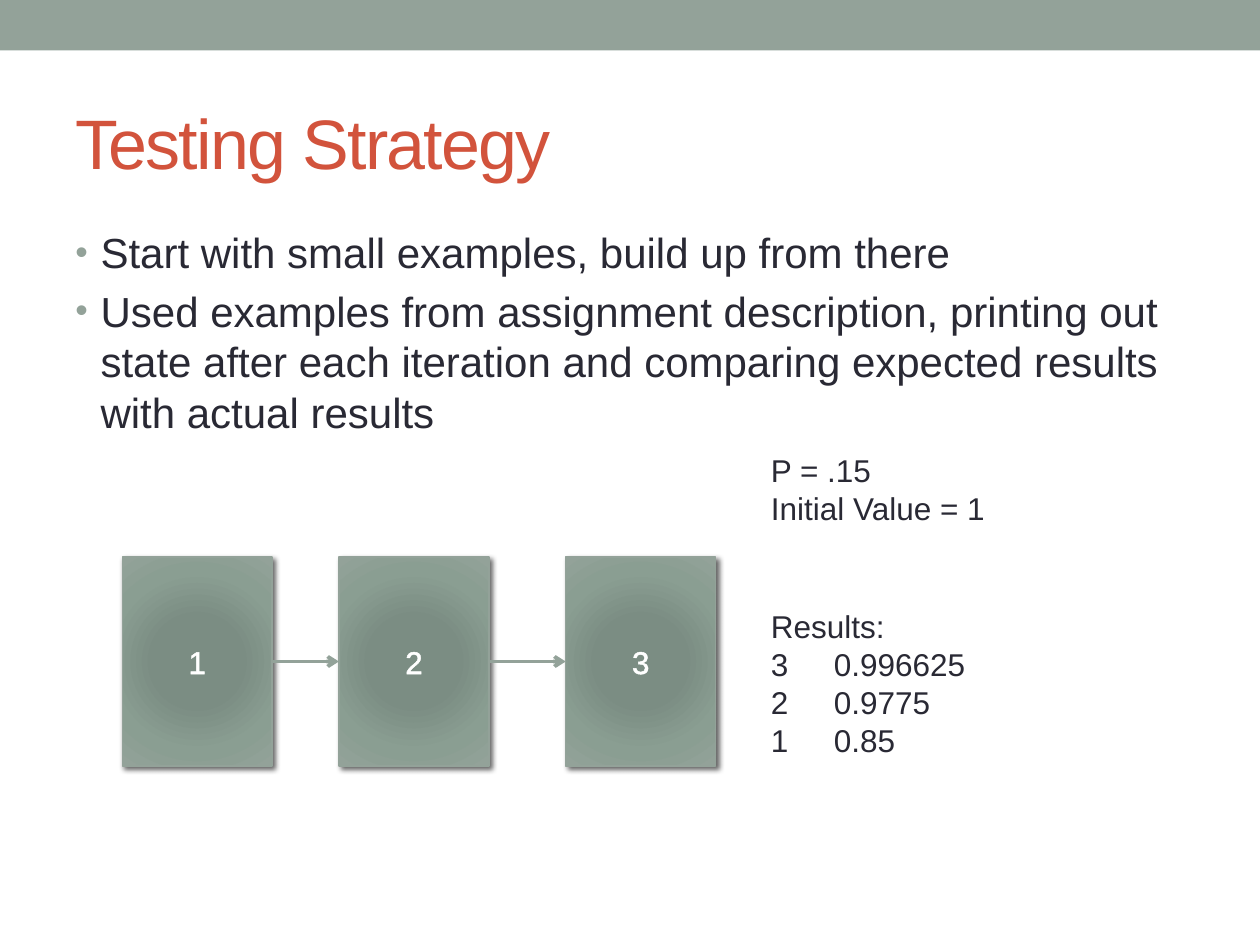
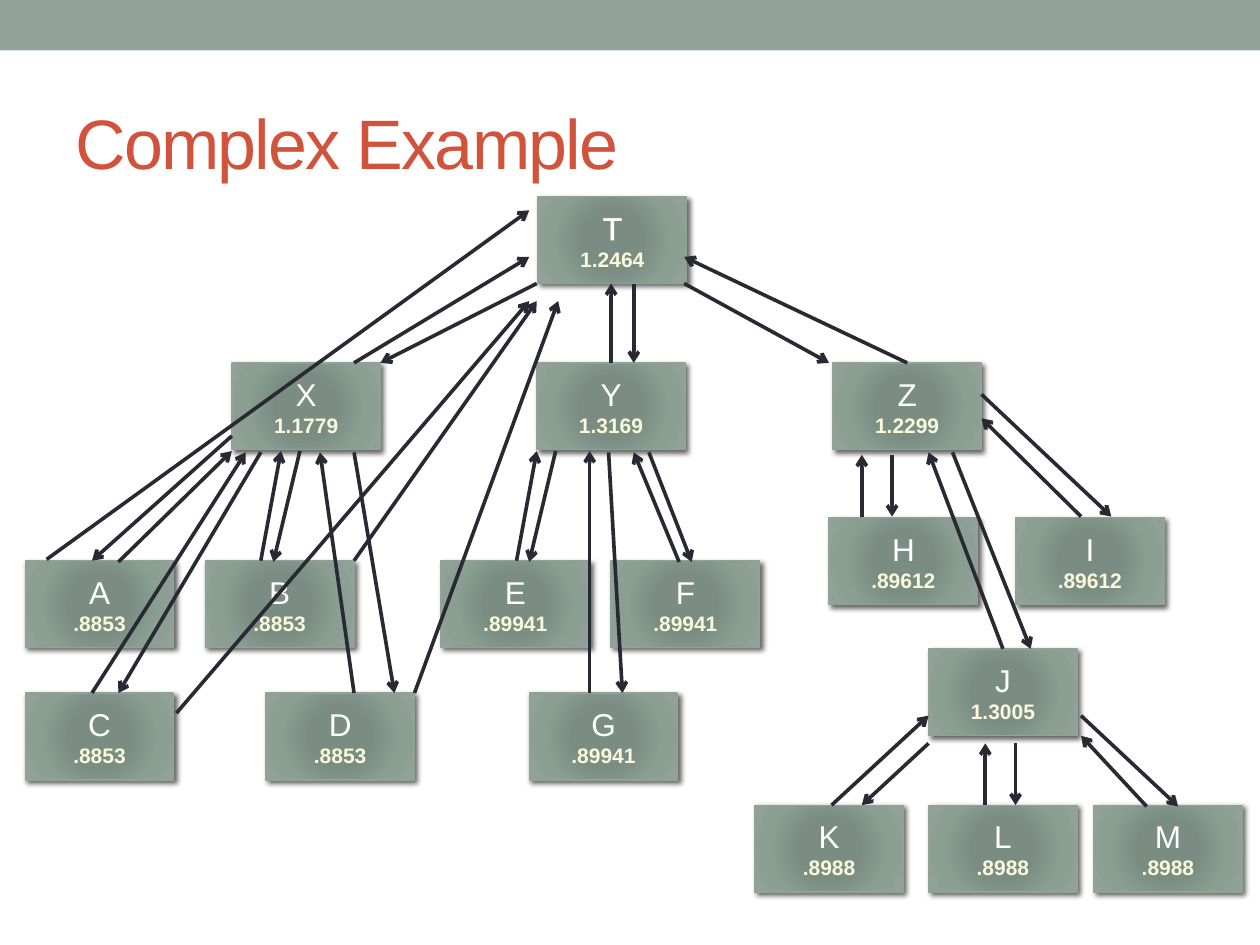
from pptx import Presentation
from pptx.dml.color import RGBColor
from pptx.enum.shapes import MSO_CONNECTOR, MSO_SHAPE
from pptx.enum.text import MSO_ANCHOR as Anchor, PP_ALIGN as Align
from pptx.oxml import parse_xml
from pptx.oxml.ns import nsdecls
from pptx.util import Inches, Pt

SAGE = RGBColor(0x93, 0xA2, 0x99)
RUST = RGBColor(0xD2, 0x53, 0x3C)
INK = RGBColor(0x29, 0x29, 0x34)
WHITE = RGBColor(0xFF, 0xFF, 0xFF)
CREAM = RGBColor(0xFA, 0xF9, 0xDC)
RED = RGBColor(0xFB, 0x36, 0x13)
GRADIENT_STOPS = [
    (0, RGBColor(0x7B, 0x8E, 0x82)),
    (34, RGBColor(0x7B, 0x8D, 0x83)),
    (70, RGBColor(0x8A, 0x9E, 0x92)),
    (100, SAGE),
]
FONT = "Arial"
NS = nsdecls("a")


def add_run(paragraph, text, size, color, bold=False, outline=None):
    run = paragraph.add_run()
    run.text = text
    run.font.name = FONT
    run.font.size = Pt(size)
    run.font.bold = bold
    run.font.color.rgb = color
    if outline:
        outline_color, width = outline
        run.font._element.insert(0, parse_xml(
            f'<a:ln {NS} w="{int(Pt(width))}"><a:solidFill>'
            f'<a:srgbClr val="{outline_color}"/></a:solidFill></a:ln>'))
    return run


def add_node(slide, left, top, width, height, label, value=None, outline=None):
    shape = slide.shapes.add_shape(
        MSO_SHAPE.RECTANGLE, Inches(left), Inches(top), Inches(width), Inches(height))
    properties = shape._element.spPr
    stops = "".join(f'<a:gs pos="{position * 1000}"><a:srgbClr val="{color}"/></a:gs>'
                    for position, color in GRADIENT_STOPS)
    properties.insert(2, parse_xml(
        f'<a:gradFill {NS} rotWithShape="1"><a:gsLst>{stops}</a:gsLst><a:path path="circle">'
        '<a:fillToRect l="100000" t="100000" r="100000" b="100000"/></a:path></a:gradFill>'))
    shape.line.color.rgb = SAGE
    shape.line.width = Pt(0.75)
    shape.shadow.inherit = False
    properties[-1].append(parse_xml(
        f'<a:outerShdw {NS} blurRad="{Pt(3)}" dist="{Pt(2)}" dir="2700000" rotWithShape="0">'
        '<a:srgbClr val="000000"><a:alpha val="60000"/></a:srgbClr></a:outerShdw>'))
    frame = shape.text_frame
    frame.vertical_anchor = Anchor.MIDDLE
    paragraph = frame.paragraphs[0]
    paragraph.alignment = Align.CENTER
    add_run(paragraph, label, 18, WHITE, outline=outline)
    if value:
        paragraph = frame.add_paragraph()
        paragraph.alignment = Align.CENTER
        add_run(paragraph, value, 12, CREAM, bold=True, outline=(RED, 1))


presentation = Presentation()
presentation.slide_width = Inches(10)
presentation.slide_height = Inches(7.5)

# Band and title on both slides
for title in ("Testing Strategy", "Complex Example"):
    slide = presentation.slides.add_slide(presentation.slide_layouts[6])
    band = slide.shapes.add_shape(MSO_SHAPE.RECTANGLE, 0, 0, Inches(10), Inches(0.4))
    band.shadow.inherit = False
    band.fill.solid()
    band.fill.fore_color.rgb = SAGE
    band.line.fill.background()
    title_box = slide.shapes.add_textbox(Inches(0.5), Inches(0.58), Inches(9), Inches(1.08))
    frame = title_box.text_frame
    frame.word_wrap = True
    frame.vertical_anchor = Anchor.MIDDLE
    run = add_run(frame.paragraphs[0], title, 40, RUST)
    run.font._element.set("spc", "-100")
strategy_slide, tree_slide = presentation.slides

# Strategy bullets
body = strategy_slide.shapes.add_textbox(Inches(0.5), Inches(1.75), Inches(9), Inches(5.33))
body.text_frame.word_wrap = True
bullets = [
    "Start with small examples, build up from there",
    "Used examples from assignment description, printing out state after each "
    "iteration and comparing expected results with actual results",
]
for index, text in enumerate(bullets):
    paragraph = body.text_frame.add_paragraph() if index else body.text_frame.paragraphs[0]
    paragraph.space_before = Pt(4.8)
    properties = paragraph._element.get_or_add_pPr()
    properties.set("marL", str(Inches(0.2)))
    properties.set("indent", str(-Inches(0.2)))
    for bullet_xml in (f'<a:buClr {NS}><a:srgbClr val="{SAGE}"/></a:buClr>',
                       f'<a:buSzPct {NS} val="85000"/>',
                       f'<a:buFont {NS} typeface="{FONT}"/>',
                       f'<a:buChar {NS} char="•"/>'):
        properties.append(parse_xml(bullet_xml))
    add_run(paragraph, text, 24, INK)

# Chain of three pages
for label, left in (("1", 0.97), ("2", 2.69), ("3", 4.49)):
    add_node(strategy_slide, left, 4.42, 1.19, 1.66, label, outline=(WHITE, 1.45))

# Parameters and results
notes = [
    (3.53, 1.92, 0.71, ["P = .15", "Initial Value = 1"]),
    (4.77, 2.26, 1.31, ["Results:", "3\t0.996625", "2\t0.9775", "1\t0.85"]),
]
for top, width, height, lines in notes:
    box = strategy_slide.shapes.add_textbox(
        Inches(6.02), Inches(top), Inches(width), Inches(height))
    box.text_frame.word_wrap = False
    for index, text in enumerate(lines):
        paragraph = box.text_frame.add_paragraph() if index else box.text_frame.paragraphs[0]
        add_run(paragraph, text, 18, INK)

# Tree nodes, row by row: top, then left, label and value
tree_rows = [
    (1.56, [(4.27, "T", "1.2464")]),
    (2.88, [(1.84, "X", "1.1779"), (4.26, "Y", "1.3169"), (6.61, "Z", "1.2299")]),
    (4.11, [(6.58, "H", ".89612"), (8.06, "I", ".89612")]),
    (4.45, [(0.2, "A", ".8853"), (1.63, "B", ".8853"),
            (3.5, "E", ".89941"), (4.85, "F", ".89941")]),
    (5.15, [(7.37, "J", "1.3005")]),
    (5.5, [(0.2, "C", ".8853"), (2.11, "D", ".8853"), (4.2, "G", ".89941")]),
    (6.39, [(5.99, "K", ".8988"), (7.37, "L", ".8988"), (8.68, "M", ".8988")]),
]
for top, nodes in tree_rows:
    for left, label, value in nodes:
        outline = (WHITE, 1.45) if label == "T" else None
        add_node(tree_slide, left, top, 1.18, 0.69, label, value, outline)

# Arrows: start x, start y, end x, end y
chain_arrows = [(2.17, 5.25, 2.69, 5.25), (3.89, 5.25, 4.49, 5.25)]
tree_arrows = [
    # T with X, Z and Y
    (2.81, 2.88, 4.2, 2.04), (4.26, 2.25, 3.02, 2.88),
    (7.2, 2.88, 5.43, 2.04), (5.43, 2.25, 6.58, 2.88),
    (4.85, 2.88, 4.85, 2.25), (5.03, 2.25, 5.03, 2.88),
    # X with A, B, D and C
    (0.94, 4.46, 1.84, 3.58), (1.84, 3.46, 0.73, 4.45),
    (2.07, 4.45, 2.23, 3.58), (2.38, 3.58, 2.17, 4.46),
    (2.81, 5.5, 2.54, 3.59), (2.81, 3.59, 3.13, 5.5),
    (0.73, 5.5, 1.95, 3.59), (2.07, 3.59, 0.94, 5.5),
    # Y with E, F and G
    (4.1, 4.45, 4.26, 3.58), (4.41, 3.58, 4.2, 4.46),
    (5.39, 4.46, 5.03, 3.59), (5.15, 3.59, 5.49, 4.46),
    (4.68, 5.5, 4.68, 3.58), (4.83, 3.59, 4.94, 5.5),
    # Z with I, J and H
    (8.58, 4.1, 7.79, 3.32), (7.79, 3.13, 8.82, 4.1),
    (7.96, 5.15, 7.37, 3.59), (7.56, 3.59, 8.18, 5.15),
    (6.84, 4.1, 6.84, 3.61), (7.08, 3.61, 7.08, 4.1),
    # J with L, K and M
    (7.82, 6.39, 7.82, 5.9), (8.06, 5.9, 8.06, 6.39),
    (6.6, 6.39, 7.37, 5.68), (7.37, 5.9, 6.84, 6.39),
    (9.1, 6.4, 8.58, 5.84), (8.58, 5.68, 9.35, 6.4),
    # B, D, C and A straight to T
    (2.81, 4.45, 4.26, 2.39), (3.29, 5.5, 4.43, 2.39),
    (1.4, 5.66, 4.2, 2.39), (0.37, 4.44, 4.2, 1.67),
]
for slide, color, arrows in ((strategy_slide, SAGE, chain_arrows),
                             (tree_slide, INK, tree_arrows)):
    for ends in arrows:
        arrow = slide.shapes.add_connector(
            MSO_CONNECTOR.STRAIGHT, *(Inches(value) for value in ends))
        arrow.line.color.rgb = color
        arrow.line.width = Pt(2.08)
        arrow.line._get_or_add_ln().append(parse_xml(f'<a:tailEnd {NS} type="arrow"/>'))
        arrow._element.spPr.append(parse_xml(f'<a:effectLst {NS}/>'))

presentation.save("out.pptx")
